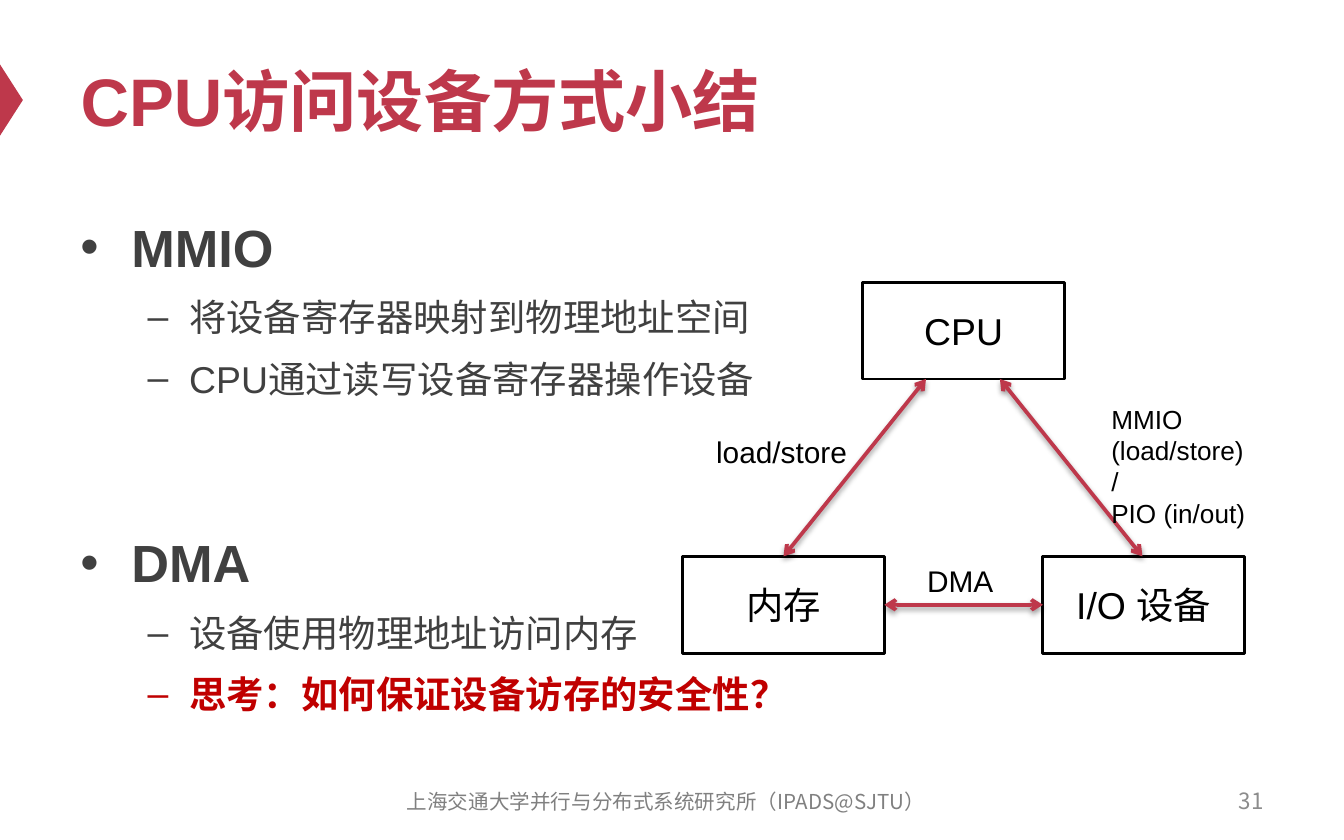
"""Build a slide summing up how a CPU accesses devices."""
from lxml import etree
from pptx import Presentation
from pptx.dml.color import RGBColor
from pptx.enum.shapes import MSO_CONNECTOR, MSO_SHAPE
from pptx.enum.text import MSO_ANCHOR, PP_ALIGN
from pptx.oxml import parse_xml
from pptx.oxml.ns import nsdecls, qn
from pptx.util import Inches, Pt

LEFT, CENTER, RIGHT = PP_ALIGN.LEFT, PP_ALIGN.CENTER, PP_ALIGN.RIGHT
TOP, MIDDLE = MSO_ANCHOR.TOP, MSO_ANCHOR.MIDDLE
RECTANGLE, TRIANGLE = MSO_SHAPE.RECTANGLE, MSO_SHAPE.ISOSCELES_TRIANGLE
STRAIGHT = MSO_CONNECTOR.STRAIGHT
COLORS = {"accent": "BE384B", "body": "404040", "alert": "C00000",
          "number": "8C8C8C", "footer": "808080", "black": "000000"}
LATIN, CHINESE = "Arial", "Noto Sans CJK SC"


def color(name):
    return RGBColor.from_string(COLORS[name])


def style(para, size, color_name, bold=False, font=LATIN):
    for span in para.runs:
        span.font.size = Pt(size)
        span.font.bold = bold
        span.font.name = font
        span.font.color.rgb = color(color_name)
        east_asian = etree.Element(qn("a:ea"), typeface=CHINESE)
        span.font._element.find(qn("a:latin")).addnext(east_asian)


deck = Presentation()
deck.slide_width, deck.slide_height = Inches(10), Inches(6.25)
page = deck.slides.add_slide(deck.slide_layouts[5])
shapes = page.shapes

marker = shapes.add_shape(TRIANGLE, Inches(-0.18), Inches(0.66), Inches(0.53), Inches(0.17))
marker.rotation = 90
marker.shadow.inherit = False
marker.fill.solid()
marker.fill.fore_color.rgb = color("accent")
marker.line.fill.background()

title = shapes.title
title.left, title.top, title.width, title.height = Inches(0.5), Inches(0.25), Inches(9), Inches(0.98)
title.text_frame.text = "CPU访问设备方式小结"
title.text_frame.vertical_anchor = MIDDLE
title.text_frame.paragraphs[0].alignment = LEFT
style(title.text_frame.paragraphs[0], 36, "accent", True)

bullets = [
    (0, "MMIO", "body", True, 0),
    (1, "将设备寄存器映射到物理地址空间", "body", False, 4),
    (1, "CPU通过读写设备寄存器操作设备", "body", False, 4),
    (0, "DMA", "body", True, 63),
    (1, "设备使用物理地址访问内存", "body", False, 4),
    (1, "思考：如何保证设备访存的安全性？", "alert", True, 4),
]
levels = [("•", 0.38, 0.38, 28), ("–", 0.81, 0.31, 20)]
body = shapes.add_textbox(Inches(0.5), Inches(1.46), Inches(9), Inches(4.12))
body.text_frame.word_wrap = True
body.text_frame.text = "\n".join(bullet[1] for bullet in bullets)
for para, (level, text, color_name, bold, gap) in zip(body.text_frame.paragraphs, bullets):
    mark, margin, hanging, size = levels[level]
    para.level = level
    para.line_spacing = 1.2
    para.space_before = Pt(gap)
    properties = para._p.get_or_add_pPr()
    properties.set("marL", str(Inches(margin)))
    properties.set("indent", str(-Inches(hanging)))
    etree.SubElement(properties, qn("a:buFont"), typeface=LATIN)
    etree.SubElement(properties, qn("a:buChar"), char=mark)
    style(para, size, color_name, bold)

node_width, node_height = 1.5, 0.72
for text, left, top in [("CPU", 6.42, 2.1), ("内存", 5.08, 4.14), ("I/O 设备", 7.76, 4.14)]:
    node = shapes.add_shape(RECTANGLE, Inches(left), Inches(top), Inches(node_width), Inches(node_height))
    node.shadow.inherit = False
    node.fill.background()
    node.line.color.rgb = color("black")
    node.line.width = Pt(1.5)
    node.text_frame.text = text
    node.text_frame.vertical_anchor = MIDDLE
    node.text_frame.paragraphs[0].alignment = CENTER
    style(node.text_frame.paragraphs[0], 20, "black")

for x1, y1, x2, y2 in [(5.83, 4.14, 6.89, 2.82), (7.44, 2.82, 8.5, 4.14), (6.58, 4.5, 7.76, 4.5)]:
    arrow = shapes.add_connector(STRAIGHT, Inches(x1), Inches(y1), Inches(x2), Inches(y2))
    arrow.line.color.rgb = color("accent")
    arrow.line.width = Pt(2)
    outline = arrow.line._get_or_add_ln()
    for end in ("a:headEnd", "a:tailEnd"):
        etree.SubElement(outline, qn(end), type="arrow")
    arrow._element.spPr.append(parse_xml(
        f'<a:effectLst {nsdecls("a")}><a:outerShdw blurRad="{Pt(3.1)}" dist="{Pt(1.6)}" '
        f'dir="5400000" rotWithShape="0"><a:srgbClr val="{COLORS["black"]}">'
        '<a:alpha val="38000"/></a:srgbClr></a:outerShdw></a:effectLst>'))

captions = [
    ("31", 7.17, 5.79, 2.33, 0.33, 12, "number", CHINESE, RIGHT, MIDDLE, True),
    ("上海交通大学并行与分布式系统研究所（IPADS@SJTU）", 2.79, 5.8, 4.33, 0.33, 11,
     "footer", CHINESE, CENTER, MIDDLE, True),
    ("load/store", 5.23, 3.18, 1.19, 0.37, 16, "black", LATIN, LEFT, TOP, False),
    ("MMIO (load/store)\n/\nPIO (in/out)", 8.17, 2.95, 1.72, 0.81, 14, "black", LATIN, LEFT, TOP, True),
    ("DMA", 6.8, 4.14, 0.7, 0.37, 16, "black", LATIN, LEFT, TOP, False),
]
for text, left, top, width, height, size, color_name, font, align, anchor, wrap in captions:
    box = shapes.add_textbox(Inches(left), Inches(top), Inches(width), Inches(height))
    box.text_frame.word_wrap = wrap
    box.text_frame.vertical_anchor = anchor
    box.text_frame.text = text
    for para in box.text_frame.paragraphs:
        para.alignment = align
        style(para, size, color_name, font=font)

deck.save("out.pptx")
